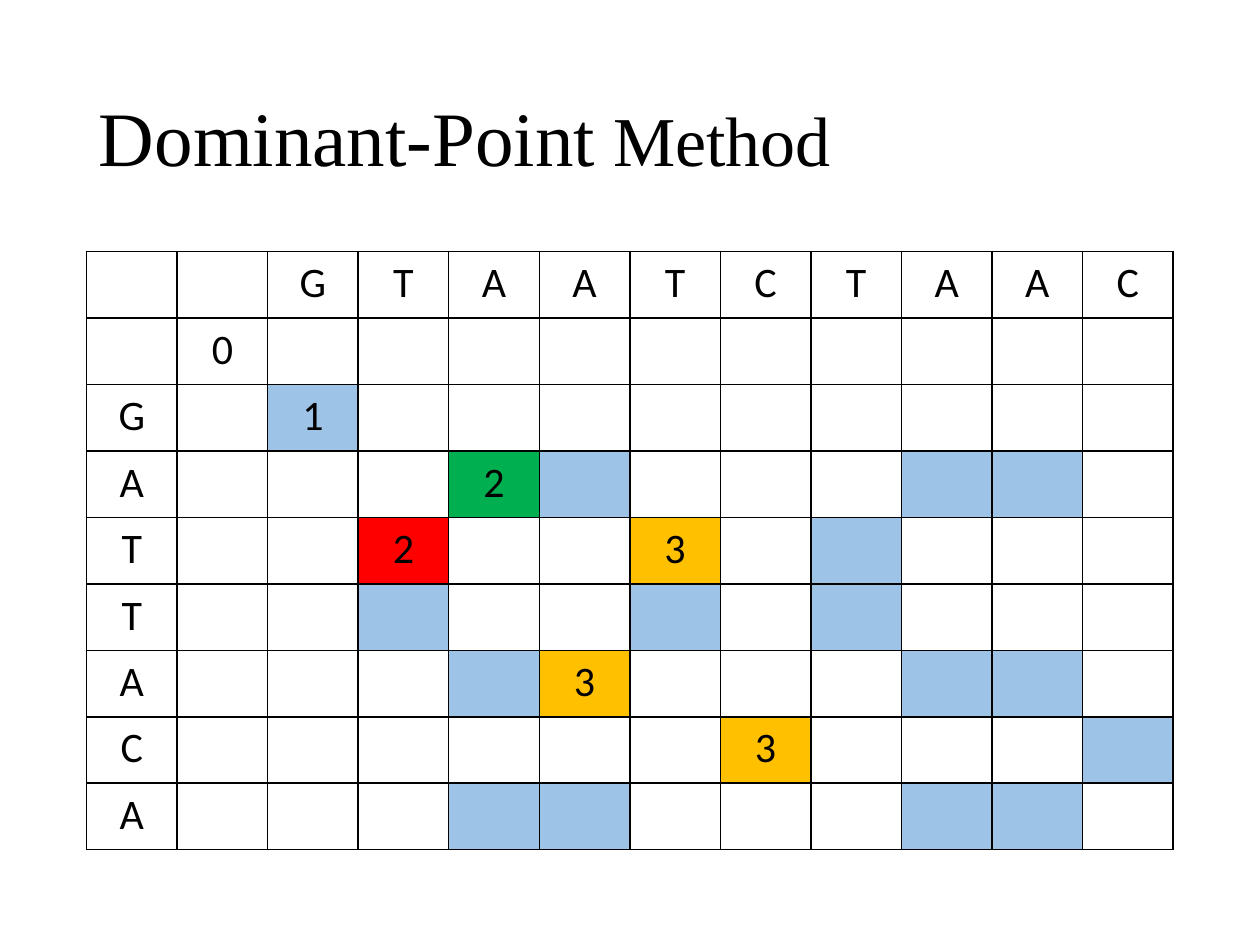
import lxml.etree
import pptx
import pptx.dml.color
import pptx.enum.text
import pptx.oxml.ns
import pptx.util

Pt = pptx.util.Pt
RGB = pptx.dml.color.RGBColor.from_string
ALIGN = pptx.enum.text.PP_ALIGN
ANCHOR = pptx.enum.text.MSO_ANCHOR

TITLE = [("Dominant-Point", "title"), (" Method", "title_end")]
ACROSS = "GTAATCTAAC"
DOWN = "GATTACA"
# (row, column) in the table: level, fill colour
POINTS = {
    (1, 1): ("0", None),
    (2, 2): ("1", "match"),
    (3, 4): ("2", "green"),
    (4, 3): ("2", "red"),
    (4, 6): ("3", "amber"),
    (6, 5): ("3", "amber"),
    (7, 7): ("3", "amber"),
}

THEME = {
    "colors": {"ink": "000000", "match": "9DC3E6", "green": "00B050",
               "red": "FF0000", "amber": "FFC000"},
    "fonts": {
        "title": {"name": "Times New Roman", "size": Pt(44)},
        "title_end": {"name": "Times New Roman", "size": Pt(40)},
        "cell": {"name": "Calibri", "size": Pt(24), "bold": False},
    },
    "border": Pt(1),
}

LEFT, WIDTH = 49.5, 621
TITLE_TOP, TITLE_HEIGHT = 28.75, 104.4
TABLE_TOP, TABLE_HEIGHT = 143.7, 342


def add_run(p, text, style):
    r = p.add_run()
    r.text = text
    for name, value in THEME["fonts"][style].items():
        setattr(r.font, name, value)
    r.font.color.rgb = RGB(THEME["colors"]["ink"])


def add_borders(cell):
    """Put the four border lines ahead of the cell's fill, as the schema asks."""
    tc_pr = cell._tc.get_or_add_tcPr()
    qn = pptx.oxml.ns.qn
    for i, side in enumerate(("lnL", "lnR", "lnT", "lnB")):
        ln = lxml.etree.Element(qn("a:" + side), w=str(THEME["border"]))
        fill = lxml.etree.SubElement(ln, qn("a:solidFill"))
        lxml.etree.SubElement(fill, qn("a:srgbClr"), val=THEME["colors"]["ink"])
        tc_pr.insert(i, ln)


def cell_content(row, col):
    """Return the text and fill of a cell; equal letters make a match."""
    if (row, col) in POINTS:
        return POINTS[row, col]
    across = ACROSS[col - 2] if col >= 2 else ""
    down = DOWN[row - 2] if row >= 2 else ""
    if row == 0:
        return across, None
    if col == 0:
        return down, None
    return "", "match" if across and across == down else None


def add_title(slide):
    sp = slide.shapes.add_textbox(Pt(LEFT), Pt(TITLE_TOP), Pt(WIDTH), Pt(TITLE_HEIGHT))
    tf = sp.text_frame
    tf.word_wrap = True
    tf.vertical_anchor = ANCHOR.MIDDLE
    p = tf.paragraphs[0]
    p.line_spacing = 0.9
    for text, style in TITLE:
        add_run(p, text, style)


def add_grid(slide):
    rows, cols = len(DOWN) + 2, len(ACROSS) + 2
    table = slide.shapes.add_table(rows, cols, Pt(LEFT), Pt(TABLE_TOP),
                                   Pt(WIDTH), Pt(TABLE_HEIGHT)).table
    table.first_row = table.horz_banding = False
    for column in table.columns:
        column.width = Pt(WIDTH / cols)
    for row in range(rows):
        table.rows[row].height = Pt(TABLE_HEIGHT / rows)
        for col in range(cols):
            cell = table.cell(row, col)
            text, color = cell_content(row, col)
            if color:
                cell.fill.solid()
                cell.fill.fore_color.rgb = RGB(THEME["colors"][color])
            else:
                cell.fill.background()
            add_borders(cell)
            if text:
                p = cell.text_frame.paragraphs[0]
                p.alignment = ALIGN.CENTER
                add_run(p, text, "cell")


def main():
    prs = pptx.Presentation()
    prs.slide_width, prs.slide_height = Pt(720), Pt(540)
    slide = prs.slides.add_slide(prs.slide_layouts[6])
    add_title(slide)
    add_grid(slide)
    prs.save("out.pptx")


if __name__ == "__main__":
    main()
